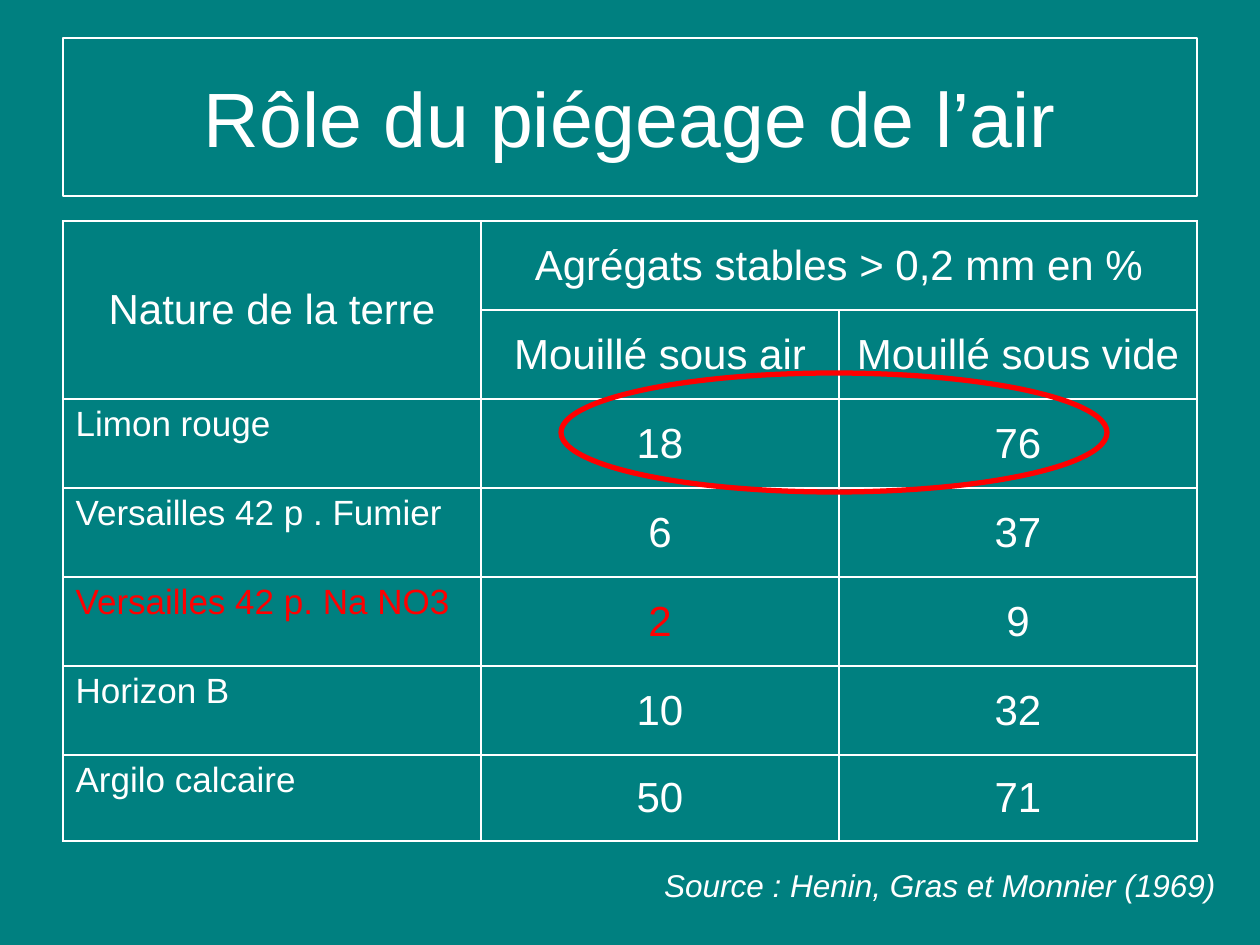
from lxml import etree
from pptx import Presentation
from pptx.dml.color import RGBColor
from pptx.enum.shapes import MSO_SHAPE
from pptx.enum.text import MSO_ANCHOR, PP_ALIGN
from pptx.oxml.ns import qn
from pptx.util import Emu, Pt

RECTANGLE, OVAL = MSO_SHAPE.RECTANGLE, MSO_SHAPE.OVAL
TOP, MIDDLE = MSO_ANCHOR.TOP, MSO_ANCHOR.MIDDLE
LEFT, CENTER = PP_ALIGN.LEFT, PP_ALIGN.CENTER

TEAL = RGBColor(0x00, 0x80, 0x80)
WHITE = RGBColor(0xFF, 0xFF, 0xFF)
RED = RGBColor(0xFF, 0x00, 0x00)
FONT = "Arial"

PX_PER_INCH = 126
COLUMNS = [418, 358, 358]
ROWS = [89] * 6 + [86]
SOILS = [
    ("Limon rouge", "18", "76"),
    ("Versailles 42 p . Fumier", "6", "37"),
    ("Versailles 42 p. Na NO3", "2", "9"),
    ("Horizon B", "10", "32"),
    ("Argilo calcaire", "50", "71"),
]
HIGHLIGHTED = {"Versailles 42 p. Na NO3", "2"}


def px(length):
    return Emu(round(length * 914400 / PX_PER_INCH))


def write(frame, text, size, color=WHITE, align=CENTER, italic=False):
    paragraph = frame.paragraphs[0]
    paragraph.alignment = align
    run = paragraph.add_run()
    run.text = text
    run.font.name = FONT
    run.font.size = Pt(size)
    run.font.italic = italic
    run.font.color.rgb = color


def add_outline(slide, kind, box, color, width):
    outline = slide.shapes.add_shape(kind, *map(px, box))
    outline.shadow.inherit = False
    outline.fill.background()
    outline.line.color.rgb = color
    outline.line.width = Pt(width)
    return outline


def add_borders(cell, color, width):
    properties = cell._tc.get_or_add_tcPr()
    for position, side in enumerate(("a:lnL", "a:lnR", "a:lnT", "a:lnB")):
        line = etree.Element(qn(side), w=str(Pt(width)))
        fill = etree.SubElement(line, qn("a:solidFill"))
        etree.SubElement(fill, qn("a:srgbClr"), val=str(color))
        properties.insert(position, line)


def add_title(slide, box):
    title = add_outline(slide, RECTANGLE, box, WHITE, 0.75)
    title.text_frame.word_wrap = True
    title.text_frame.vertical_anchor = MIDDLE
    write(title.text_frame, "Rôle du piégeage de l’air", 44)


def add_soil_table(slide, box):
    table = slide.shapes.add_table(len(ROWS), len(COLUMNS), *map(px, box)).table
    table.first_row = table.horz_banding = False
    for column, width in zip(table.columns, COLUMNS):
        column.width = px(width)
    for row, height in zip(table.rows, ROWS):
        row.height = px(height)
    for cell in table.iter_cells():
        cell.fill.background()
        cell.vertical_anchor = MIDDLE
        add_borders(cell, WHITE, 1)

    # Two-level header
    table.cell(0, 0).merge(table.cell(1, 0))
    table.cell(0, 1).merge(table.cell(0, 2))
    headers = {
        (0, 0): "Nature de la terre",
        (0, 1): "Agrégats stables > 0,2 mm en %",
        (1, 1): "Mouillé sous air",
        (1, 2): "Mouillé sous vide",
    }
    for position, header in headers.items():
        write(table.cell(*position).text_frame, header, 24)

    # One row per soil
    for row, soil in enumerate(SOILS, start=2):
        for column, value in enumerate(soil):
            cell = table.cell(row, column)
            color = RED if value in HIGHLIGHTED else WHITE
            if column == 0:
                cell.vertical_anchor = TOP
                write(cell.text_frame, value, 20, color, LEFT)
            else:
                write(cell.text_frame, value, 24, color)


def add_source(slide, box):
    source = slide.shapes.add_textbox(*map(px, box))
    source.text_frame.word_wrap = True
    write(source.text_frame, "Source : Henin, Gras et Monnier (1969)", 18, italic=True)


def main():
    presentation = Presentation()
    presentation.slide_width, presentation.slide_height = px(1260), px(945)
    slide = presentation.slides.add_slide(presentation.slide_layouts[6])
    slide.background.fill.solid()
    slide.background.fill.fore_color.rgb = TEAL

    add_title(slide, (63, 38, 1134, 158))
    add_soil_table(slide, (63, 221, sum(COLUMNS), sum(ROWS)))
    # Ring around the first soil's values
    add_outline(slide, OVAL, (561, 373, 546, 119), RED, 3)
    add_source(slide, (620, 860, 640, 50))

    presentation.save("out.pptx")


if __name__ == "__main__":
    main()
